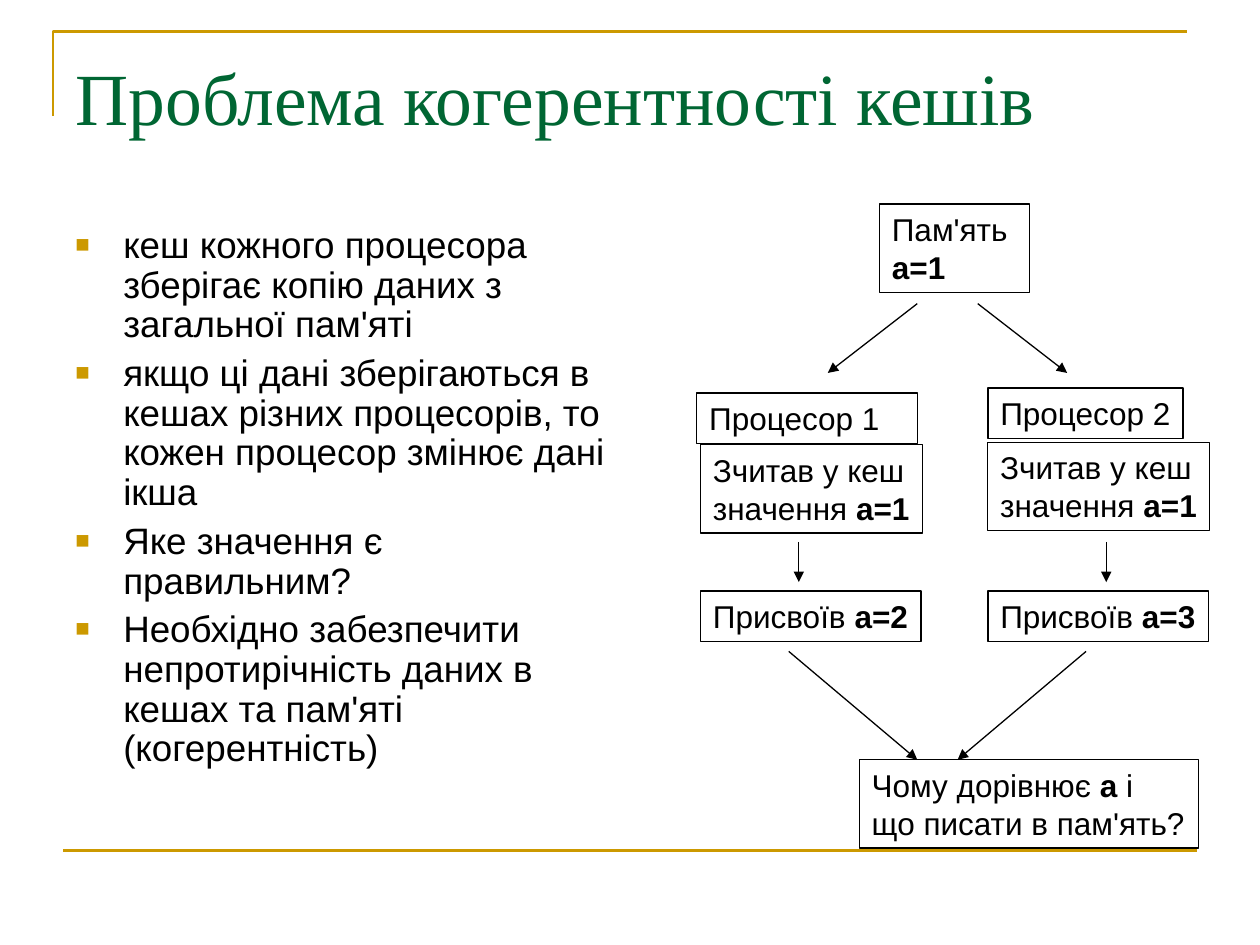
"""Build the slide about the cache coherence problem."""
from lxml import etree
from pptx import Presentation
from pptx import util as u
from pptx.dml.color import RGBColor
from pptx.enum import shapes, text
from pptx.oxml.ns import qn

GOLD = RGBColor(0xCC, 0x99, 0x00)
GREEN = RGBColor(0x00, 0x66, 0x33)
BLACK = RGBColor(0x00, 0x00, 0x00)

TITLE = "Проблема когерентності кешів"
POINTS = [
    "кеш кожного процесора зберігає копію даних з загальної пам'яті",
    "якщо ці дані зберігаються в кешах різних процесорів, то кожен процесор змінює дані ікша",
    "Яке значення є правильним?",
    "Необхідно забезпечити непротирічність даних в кешах та пам'яті (когерентність)",
]
READ = ["Зчитав у кеш", "значення *a=1*"]
LEFT, RIGHT = 556, 784
ONE_LINE, TWO_LINES = 40, 70
BOXES = [
    (698, 162, 119, TWO_LINES, ["Пам'ять", "*a=1*"]),
    (553, 312, 175, ONE_LINE, ["Процесор 1"]),
    (RIGHT, 308, 155, ONE_LINE, ["Процесор 2"]),
    (LEFT, 353, 176, TWO_LINES, READ),
    (RIGHT, 351, 176, TWO_LINES, READ),
    (LEFT, 469, 175, ONE_LINE, ["Присвоїв *a=2*"]),
    (RIGHT, 469, 175, ONE_LINE, ["Присвоїв *a=3*"]),
    (682, 603, 269, TWO_LINES, ["Чому дорівнює *a *і", "що писати в пам'ять?"]),
]
ARROWS = [
    ((728, 241), (657, 296)),
    ((776, 241), (847, 296)),
    ((634, 430), (634, 462)),
    ((878, 430), (878, 462)),
    ((626, 517), (728, 603)),
    ((862, 517), (760, 603)),
]


def px(length):
    return u.Emu(length * 9144)


def add_bullet(paragraph):
    properties = paragraph._p.get_or_add_pPr()
    properties.set("marL", str(px(38)))
    properties.set("indent", str(-px(38)))
    color = etree.SubElement(properties, qn("a:buClr"))
    etree.SubElement(color, qn("a:srgbClr"), val=str(GOLD))
    etree.SubElement(properties, qn("a:buSzPct"), val="65000")
    etree.SubElement(properties, qn("a:buFont"), typeface="Arial")
    etree.SubElement(properties, qn("a:buChar"), char="■")


def write_text(frame, lines, size, font="Arial", color=BLACK, bullet=False,
               line_spacing=None, space_before=0):
    frame.vertical_anchor = text.MSO_ANCHOR.TOP
    for index, line in enumerate(lines):
        paragraph = frame.add_paragraph() if index else frame.paragraphs[0]
        if bullet:
            add_bullet(paragraph)
        paragraph.alignment = text.PP_ALIGN.LEFT
        paragraph.line_spacing = line_spacing
        paragraph.space_before = u.Pt(space_before if index else 0)
        for part, words in enumerate(line.split("*")):
            if words:
                run = paragraph.add_run()
                run.text = words
                run.font.name = font
                run.font.size = u.Pt(size)
                run.font.bold = part % 2 == 1
                run.font.color.rgb = color


class SlideBuilder:
    """Holds the line style and the current slide."""

    def __init__(self, slide, thin=0.75, thick=1.5):
        self.slide = slide
        self.thin = u.Pt(thin)
        self.thick = u.Pt(thick)

    def title(self, words, left, top, width, height):
        shape = self.slide.shapes.title
        shape.left, shape.top = px(left), px(top)
        shape.width, shape.height = px(width), px(height)
        shape.text_frame.margin_top = px(11)
        shape.text_frame.auto_size = text.MSO_AUTO_SIZE.NONE
        write_text(shape.text_frame, [words], 42, "Times New Roman", GREEN)

    def bullets(self, points, left, top, width, height):
        shape = self.slide.shapes.add_textbox(px(left), px(top), px(width), px(height))
        shape.text_frame.word_wrap = True
        write_text(shape.text_frame, points, 21, bullet=True,
                   line_spacing=0.9, space_before=5.2)

    def box(self, left, top, width, height, lines):
        shape = self.slide.shapes.add_shape(
            shapes.MSO_SHAPE.RECTANGLE, px(left), px(top), px(width), px(height))
        shape.shadow.inherit = False
        shape.fill.background()
        shape.line.color.rgb = BLACK
        shape.line.width = self.thin
        shape.text_frame.word_wrap = False
        write_text(shape.text_frame, lines, 18)

    def line(self, start, end, color, width):
        connector = self.slide.shapes.add_connector(
            shapes.MSO_CONNECTOR.STRAIGHT, *map(px, start + end))
        connector.line.color.rgb = color
        connector.line.width = width
        etree.SubElement(connector._element.spPr, qn("a:effectLst"))
        return connector

    def arrow(self, start, end):
        connector = self.line(start, end, BLACK, self.thin)
        etree.SubElement(connector.line._get_or_add_ln(), qn("a:tailEnd"), type="triangle")

    def corner(self, points):
        start, *others = points
        builder = self.slide.shapes.build_freeform(*start, scale=px(1))
        builder.add_line_segments(others, close=False)
        shape = builder.convert_to_shape()
        shape.shadow.inherit = False
        shape.fill.background()
        shape.line.color.rgb = GOLD
        shape.line.width = self.thick


def main():
    presentation = Presentation()
    presentation.slide_width, presentation.slide_height = px(1000), px(750)
    slide = presentation.slides.add_slide(presentation.slide_layouts[5])
    builder = SlideBuilder(slide)
    builder.corner([(42, 92), (42, 25), (942, 25)])
    builder.line((50, 675), (950, 675), GOLD, builder.thick)
    builder.title(TITLE, 50, 30, 900, 125)
    builder.bullets(POINTS, 50, 175, 442, 495)
    for box in BOXES:
        builder.box(*box)
    for start, end in ARROWS:
        builder.arrow(start, end)
    presentation.save("out.pptx")


if __name__ == "__main__":
    main()
